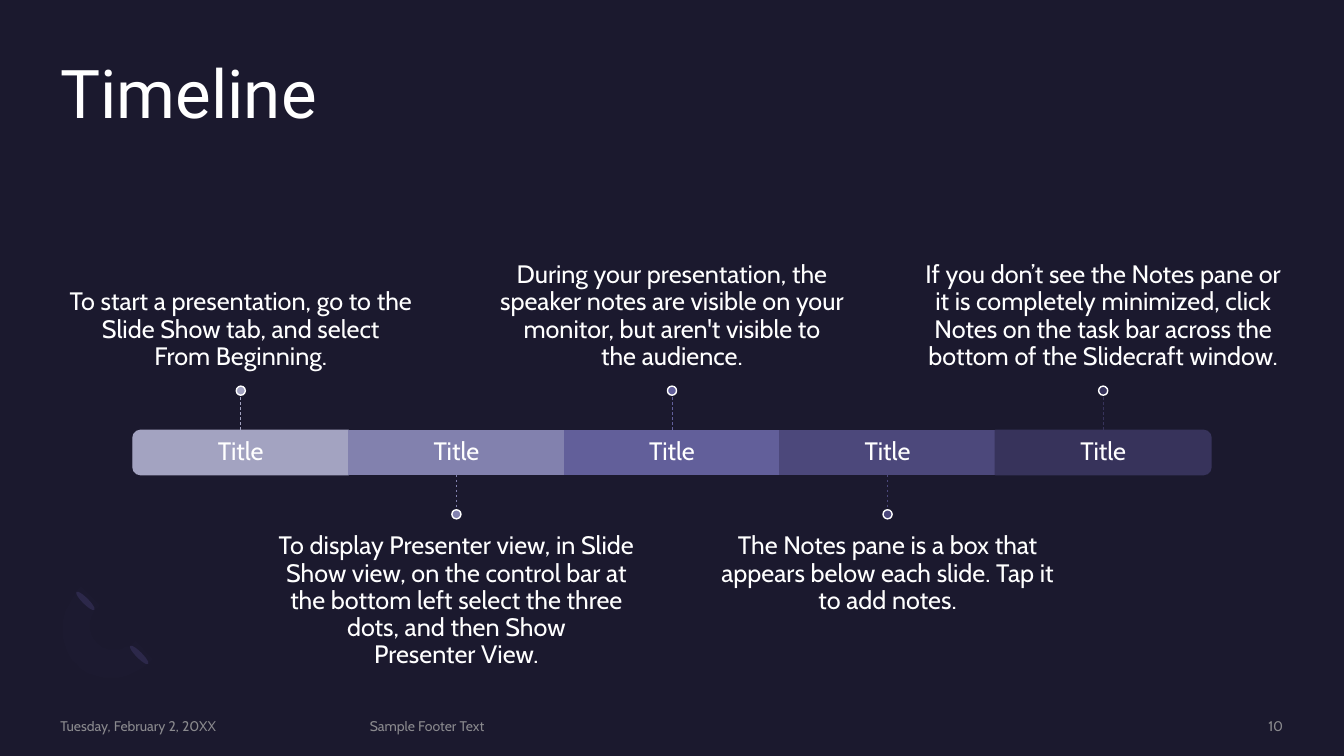
from dataclasses import dataclass

from pptx import Presentation
from pptx import util as u
from pptx.dml.color import RGBColor
from pptx.dml.fill import FillFormat
from pptx.enum import dml, shapes, text
from pptx.oxml import xmlchemy as xc
from pptx.oxml.ns import qn
from pptx.shapes.autoshape import Shape
from pptx.slide import Slide

Pt = u.Pt
SHAPE = shapes.MSO_SHAPE
ALIGN = text.PP_ALIGN
ANCHOR = text.MSO_ANCHOR
WHITE = "FFFFFF"
STEP, BAR_TOP, BAR_HEIGHT = 154, 307.4, 31.6
BAR_BOTTOM = BAR_TOP + BAR_HEIGHT
MIDDLE_X = 480
DOT, STEM = 6.5, 25.1
CAPTION_WIDTH, CAPTION_HEIGHT = 257, 109.4


@dataclass
class Stage:
    caption: str
    color: str
    above: bool
    rotation: int = 0  # non-zero for the rounded ends of the bar


@dataclass
class Footer:
    words: str
    left: float
    width: float
    align: ALIGN = ALIGN.LEFT


STAGES = [
    Stage("To start a presentation, go to the Slide Show tab, and select\vFrom Beginning.",
          "A3A3C1", True, 270),
    Stage("To display Presenter view, in Slide Show view, on the control bar at the bottom "
          "left select the three dots, and then Show\vPresenter View.", "8281AE", False),
    Stage("During your presentation, the speaker notes are visible on your monitor, "
          "but aren't visible to\vthe audience.", "625F9A", True),
    Stage("The Notes pane is a box that appears below each slide. Tap it to add notes.",
          "4C487B", False),
    Stage("If you don’t see the Notes pane or it is completely minimized, click Notes on "
          "the task bar across the bottom of the Slidecraft window.", "37335B", True, 90),
]
FOOTERS = [
    Footer("Tuesday, February 2, 20XX", 43.2, 207.4),
    Footer("Sample Footer Text", 264.2, 502.6),
    Footer("10", 783.4, 133.2, ALIGN.RIGHT),
]


def paint(fill: FillFormat, color: str, opacity: int = 100) -> None:
    fill.solid()
    fill.fore_color.rgb = RGBColor.from_string(color)
    if opacity < 100:
        clr = fill.fore_color._color._xClr
        alpha = xc.OxmlElement("a:alpha")
        alpha.set("val", str(opacity * 1000))
        clr.append(alpha)


def write(shape: Shape, words: str, size: float, align: ALIGN = ALIGN.CENTER,
          anchor: ANCHOR = ANCHOR.MIDDLE, font: str = "Cabin", color: str = WHITE,
          opacity: int = 100, spacing: float = 0.9, top: float = 0,
          bottom: float = 0) -> None:
    frame = shape.text_frame
    frame.text = words
    frame_format = {
        "margin_left": 0, "margin_right": 0, "margin_top": Pt(top),
        "margin_bottom": Pt(bottom), "word_wrap": True, "vertical_anchor": anchor,
        "auto_size": text.MSO_AUTO_SIZE.NONE,
    }
    for name, value in frame_format.items():
        setattr(frame, name, value)
    paragraph = frame.paragraphs[0]
    paragraph.alignment = align
    paragraph.line_spacing = spacing
    for run in paragraph.runs:
        run.font.size = Pt(size)
        run.font.name = font
        paint(run.font.fill, color, opacity)


def add_box(slide: Slide, left: float, top: float, width: float, height: float) -> Shape:
    return slide.shapes.add_textbox(Pt(left), Pt(top), Pt(width), Pt(height))


def add_figure(slide: Slide, kind: SHAPE, center_x: float, center_y: float, width: float,
               height: float, color: str, outline: str = "", rotation: float = 0) -> Shape:
    """Add a filled preset shape around its centre."""
    figure = slide.shapes.add_shape(kind, Pt(center_x - width / 2), Pt(center_y - height / 2),
                                    Pt(width), Pt(height))
    figure.rotation = rotation
    figure.shadow.inherit = False
    paint(figure.fill, color)
    if outline:
        paint(figure.line.fill, outline)
        figure.line.width = Pt(1)
    else:
        figure.line.fill.background()
    return figure


def add_stage(slide: Slide, stage: Stage, center: float) -> None:
    bar_middle = BAR_TOP + BAR_HEIGHT / 2
    if stage.rotation:
        block = add_figure(slide, SHAPE.ROUND_2_SAME_RECTANGLE, center, bar_middle,
                           BAR_HEIGHT, STEP, stage.color, stage.color, stage.rotation)
    else:
        block = add_figure(slide, SHAPE.RECTANGLE, center, bar_middle,
                           STEP, BAR_HEIGHT, stage.color, stage.color)
    label = add_box(slide, center - STEP / 2, BAR_TOP, STEP, BAR_HEIGHT)
    write(label, "Title", 18)

    caption = add_box(slide, center - CAPTION_WIDTH / 2, 166.3 if stage.above else 370,
                      CAPTION_WIDTH, CAPTION_HEIGHT)
    if stage.above:
        write(caption, stage.caption, 18, anchor=ANCHOR.BOTTOM, bottom=10.8)
    else:
        write(caption, stage.caption, 18, anchor=ANCHOR.TOP, top=10.8)

    edge, direction = (BAR_TOP, -1) if stage.above else (BAR_BOTTOM, 1)
    tip = edge + direction * STEM
    stem = slide.shapes.add_connector(shapes.MSO_CONNECTOR.STRAIGHT,
                                      Pt(center), Pt(edge), Pt(center), Pt(tip))
    if not stage.rotation:
        stem.begin_connect(block, 0 if stage.above else 2)
    paint(stem.line.fill, stage.color)
    stem.line.width = Pt(0.5)
    stem.line.dash_style = dml.MSO_LINE.DASH
    stem._element.find(qn("p:spPr")).append(xc.OxmlElement("a:effectLst"))
    add_figure(slide, SHAPE.OVAL, center, tip + direction * DOT / 2, DOT, DOT,
               stage.color, WHITE)


def bezier(*controls: tuple[float, float], steps: int = 16) -> list[tuple[float, float]]:
    """Sample a cubic curve through its four control points."""
    points = []
    for i in range(steps + 1):
        t = i / steps
        weights = ((1 - t) ** 3, 3 * t * (1 - t) ** 2, 3 * t * t * (1 - t), t ** 3)
        points.append(tuple(sum(w * c[axis] for w, c in zip(weights, controls))
                            for axis in (0, 1)))
    return points


def add_ring(slide: Slide) -> None:
    """Add the faint half ring with its two end ellipses."""
    outline = (bezier((54.7, 474.5), (40.3, 460.1), (41.8, 435.6), (58.3, 419))
               + bezier((71.3, 432), (62.6, 439.9), (61.9, 452.9), (69.1, 459.4))
               + bezier((69.1, 459.4), (76.3, 466.6), (88.6, 465.8), (97.2, 457.9))
               + bezier((109.4, 470.9), (93.6, 486.7), (68.4, 488.9), (54.7, 474.5)))
    builder = slide.shapes.build_freeform(*outline[0], scale=float(Pt(1)))
    builder.add_line_segments(outline[1:], close=True)
    ring = builder.convert_to_shape()
    ring.shadow.inherit = False
    paint(ring.fill, "7771B2", 2)
    ring.line.fill.background()
    for x, y in ((61, 429.2), (99.4, 467.8)):
        add_figure(slide, SHAPE.OVAL, x, y, 4.4, 18.4, "2C284A", rotation=135)


def main() -> None:
    deck = Presentation()
    deck.slide_width, deck.slide_height = Pt(960), Pt(540)
    slide = deck.slides.add_slide(deck.slide_layouts.get_by_name("Title Only"))
    paint(slide.background.fill, "1B192E")
    add_ring(slide)

    title = slide.shapes.title
    title.left, title.top, title.width, title.height = map(Pt, (43.2, 43.2, 873.4, 105.1))
    write(title, "Timeline", 48, ALIGN.LEFT, ANCHOR.TOP, "Roboto")

    for i, stage in enumerate(STAGES):
        add_stage(slide, stage, MIDDLE_X + STEP * (i - 2))
    for footer in FOOTERS:
        write(add_box(slide, footer.left, 512.6, footer.width, 12.2), footer.words, 10,
              footer.align, color="A6A6A6", opacity=80, spacing=1.0)
    deck.save("out.pptx")


if __name__ == "__main__":
    main()
